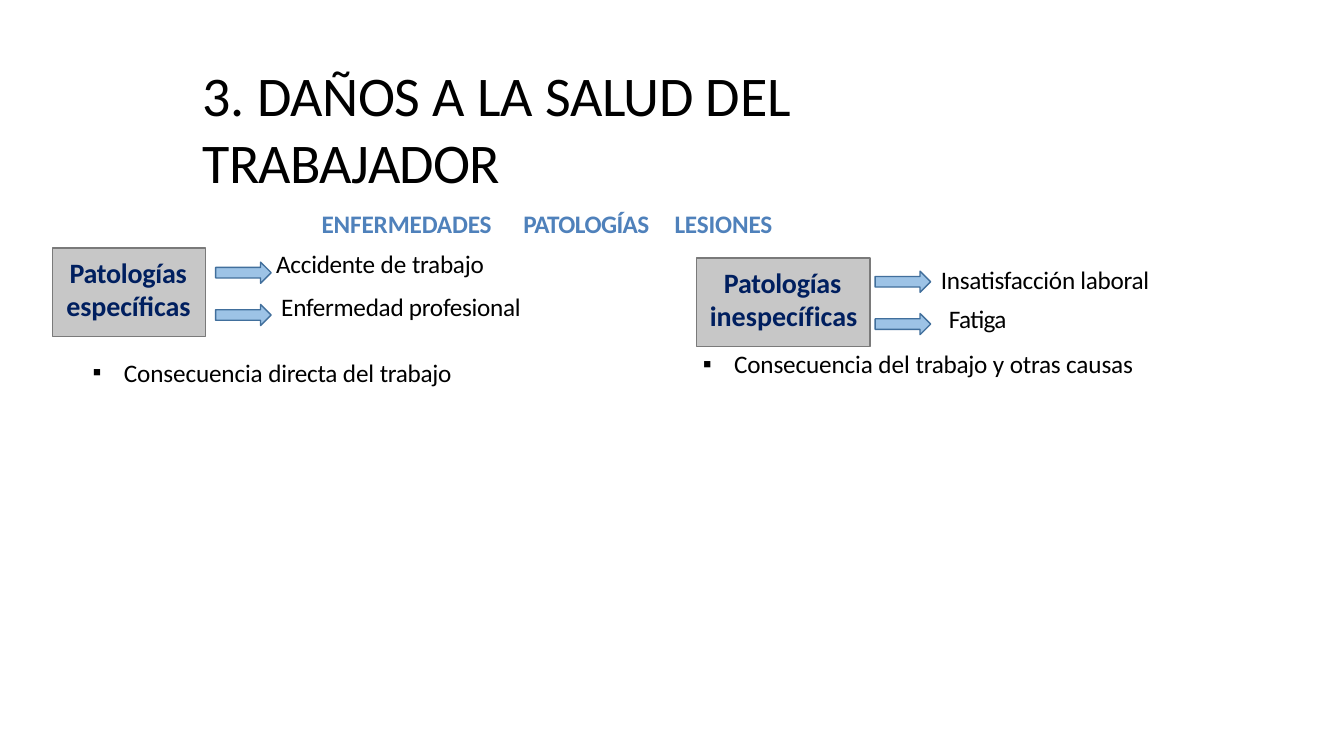
"""Build the slide on harm to workers' health."""
import dataclasses
import typing

import lxml.etree
import pptx
import pptx.dml.color
import pptx.enum.shapes
import pptx.enum.text
import pptx.oxml.ns
import pptx.util

SLIDE_W, SLIDE_H = pptx.util.Inches(13.33), pptx.util.Inches(7.5)
FONT = "Calibri"
COLORS = {
    "text": "000000", "heading": "4F81BB", "label": "001F5F",
    "box": "C7C7C7", "box_line": "7A7A7A",
    "arrow": "9DC3E6", "arrow_line": "416F9C",
}
ARROW_W, ARROW_H, ARROW_STEP = 4.13, 2.8, 5.6


@dataclasses.dataclass
class Area:
    """Position and size as percentages of the slide."""
    x: float
    y: float
    w: float
    h: float

    def emu(self) -> tuple[int, int, int, int]:
        """Return left, top, width and height in EMU."""
        return (round(SLIDE_W * self.x / 100), round(SLIDE_H * self.y / 100),
                round(SLIDE_W * self.w / 100), round(SLIDE_H * self.h / 100))


@dataclasses.dataclass
class Para:
    """Paragraph whose runs are pairs of text and letter spacing in points."""
    runs: list[tuple[str, float]]
    left: float = 0
    first: float = 0
    before: float = 0
    size: float = 18
    color: str = "text"
    bold: bool = False
    line: float = 1
    bullet: str = ""
    tabs: tuple[float, ...] = ()


@dataclasses.dataclass
class Block:
    """Area with its paragraphs and top inset in inches."""
    area: Area
    paras: list[Para]
    inset: float


@dataclasses.dataclass
class Group:
    """Label box with arrows, the damages they lead to and a remark."""
    box: Block
    arrows: tuple[float, float]
    damages: Block
    remark: Block


TITLE = Block(Area(15, 4, 65.79, 18.8), [
    Para([("3. ", -0.1), ("DAÑOS ", -0.3), ("A LA ", -0.1), ("SALUD ", -0.4),
          ("DEL ", -0.2), ("TRABAJADOR", -0.5)], left=0.01, before=21.9, size=40),
    Para([("ENFERMEDADES\t", -0.1), ("PATOLOGÍAS\t", -0.4), ("LESIONES", -0.1)],
         left=1.19, before=9.4, color="heading", bold=True, tabs=(3.77, 5.73)),
], 0.3)


def label(runs: list[tuple[str, float]], left: float, first: float = 0,
          before: float = 0) -> Para:
    """Return a paragraph for a label box."""
    return Para(runs, left, first, before, size=20, color="label", bold=True)


def remark(area: Area, runs: list[tuple[str, float]]) -> Block:
    """Return a block with one bulleted remark."""
    return Block(area, [Para(runs, 0.33, -0.31, 1, bullet="▪")], 0.01)


GROUPS = [
    Group(
        Block(Area(3.9, 32.8, 11.4, 11.73), [
            label([("Patologías", -0.2)], 0.17, before=5),
            label([("específicas", -0.1)], 0.14)], 0.07),
        (16.05, 34.67),
        Block(Area(20.48, 30.93, 18.53, 11.87), [
            Para([("Accidente ", -0.2), ("de ", 0), ("trabajo", -0.2)], 0.01, before=10.3),
            Para([("Enfermedad profesional", -0.2)], 0.06, before=9.3)], 0.14),
        remark(Area(6.75, 47.07, 27.23, 4.4), [
            ("Consecuencia ", -0.1), ("directa ", -0.2), ("del ", -0.1), ("trabajo", -0.2)]),
    ),
    Group(
        Block(Area(51.84, 34.13, 12.9, 11.73), [
            label([("Patologías ", -0.2), ("inespecíf", 0), ("i", -0.1), ("c", -0.2),
                   ("as", -0.1)], 0.13, 0.14, 5.1)], 0.07),
        (65.12, 35.87),
        Block(Area(69.92, 33.6, 15.9, 10.8), [
            Para([("Insatisfacción laboral ", -0.2), ("Fatiga", -0.4)],
                 0.09, -0.08, 1, line=1.3)], 0.01),
        remark(Area(52.14, 46, 32.56, 4.4), [
            ("Consecuencia ", -0.1), ("del ", 0), ("trabajo ", -0.2), ("y ", 0),
            ("otras ", -0.2), ("causas", -0.1)]),
    ),
]


def rgb(name: str) -> pptx.dml.color.RGBColor:
    """Return the named colour."""
    return pptx.dml.color.RGBColor.from_string(COLORS[name])


def add_child(parent: typing.Any, tag: str, **attrs: str) -> typing.Any:
    """Append a DrawingML element."""
    return lxml.etree.SubElement(parent, pptx.oxml.ns.qn(f"a:{tag}"), attrs)


def write_para(p: typing.Any, para: Para) -> None:
    """Format a paragraph and add its runs."""
    p.alignment = pptx.enum.text.PP_ALIGN.LEFT
    p.line_spacing = para.line
    p.space_before = pptx.util.Pt(para.before)
    p.space_after = pptx.util.Pt(0)
    pPr = p._p.get_or_add_pPr()
    pPr.set("marL", str(pptx.util.Inches(para.left)))
    pPr.set("indent", str(pptx.util.Inches(para.first)))
    if para.bullet:
        add_child(pPr, "buFont", typeface="Arial")
        add_child(pPr, "buChar", char=para.bullet)
    else:
        add_child(pPr, "buNone")
    if para.tabs:
        tab_list = add_child(pPr, "tabLst")
        for tab in para.tabs:
            add_child(tab_list, "tab", pos=str(pptx.util.Inches(tab)), algn="l")
    for text, spacing in para.runs:
        r = p.add_run()
        r.text = text
        r.font.name = FONT
        r.font.size = pptx.util.Pt(para.size)
        r.font.bold = para.bold
        r.font.color.rgb = rgb(para.color)
        r._r.get_or_add_rPr().set("spc", str(round(spacing * 100)))


def write_block(sp: typing.Any, block: Block) -> None:
    """Place a shape and fill it with the block's paragraphs."""
    sp.left, sp.top, sp.width, sp.height = block.area.emu()
    tf = sp.text_frame
    tf.word_wrap = True
    tf.auto_size = pptx.enum.text.MSO_AUTO_SIZE.NONE
    tf.vertical_anchor = pptx.enum.text.MSO_ANCHOR.TOP
    tf.margin_left = tf.margin_right = tf.margin_bottom = 0
    tf.margin_top = pptx.util.Inches(block.inset)
    for i, para in enumerate(block.paras):
        write_para(tf.add_paragraph() if i else tf.paragraphs[0], para)


def add_shape(s: typing.Any, kind: pptx.enum.shapes.MSO_SHAPE, area: Area,
              color: str) -> typing.Any:
    """Add a filled and outlined preset shape."""
    sp = s.shapes.add_shape(kind, *area.emu())
    sp.shadow.inherit = False
    sp.fill.solid()
    sp.fill.fore_color.rgb = rgb(color)
    sp.line.color.rgb = rgb(f"{color}_line")
    sp.line.width = pptx.util.Pt(0.96)
    return sp


def draw_group(s: typing.Any, group: Group, body: typing.Any) -> None:
    """Draw one group, with its remark in a body placeholder."""
    shapes = pptx.enum.shapes.MSO_SHAPE
    write_block(add_shape(s, shapes.RECTANGLE, group.box.area, "box"), group.box)
    x, y = group.arrows
    for i in range(2):
        add_shape(s, shapes.RIGHT_ARROW,
                  Area(x, y + i * ARROW_STEP, ARROW_W, ARROW_H), "arrow")
    write_block(s.shapes.add_textbox(*group.damages.area.emu()), group.damages)
    write_block(body, group.remark)


def main() -> None:
    """Create and save the presentation."""
    prs = pptx.Presentation()
    prs.slide_width, prs.slide_height = SLIDE_W, SLIDE_H
    s = prs.slides.add_slide(prs.slide_layouts[3])
    write_block(s.shapes.title, TITLE)
    for group, idx in zip(GROUPS, (1, 2)):
        draw_group(s, group, s.placeholders[idx])
    prs.save("out.pptx")


if __name__ == "__main__":
    main()
